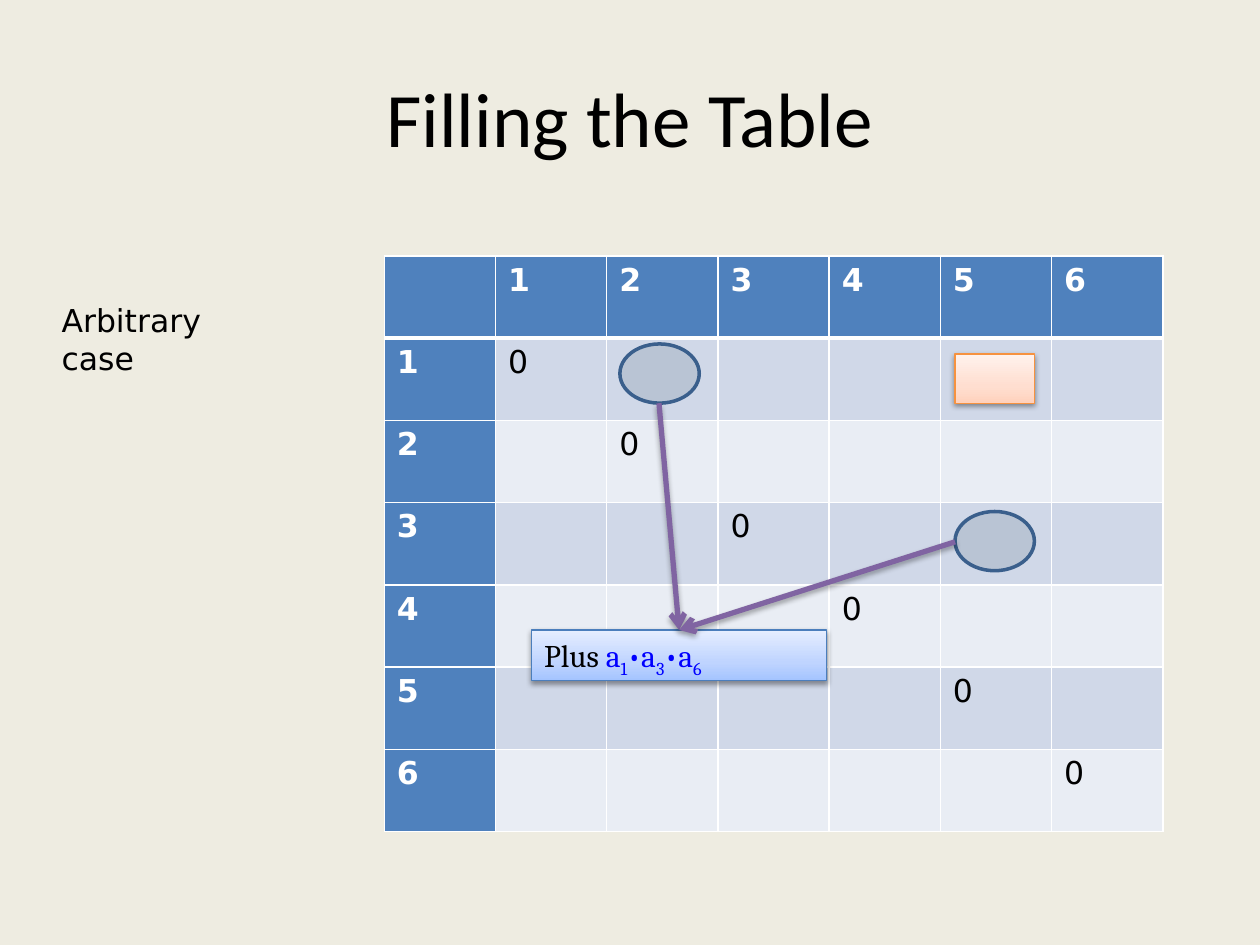
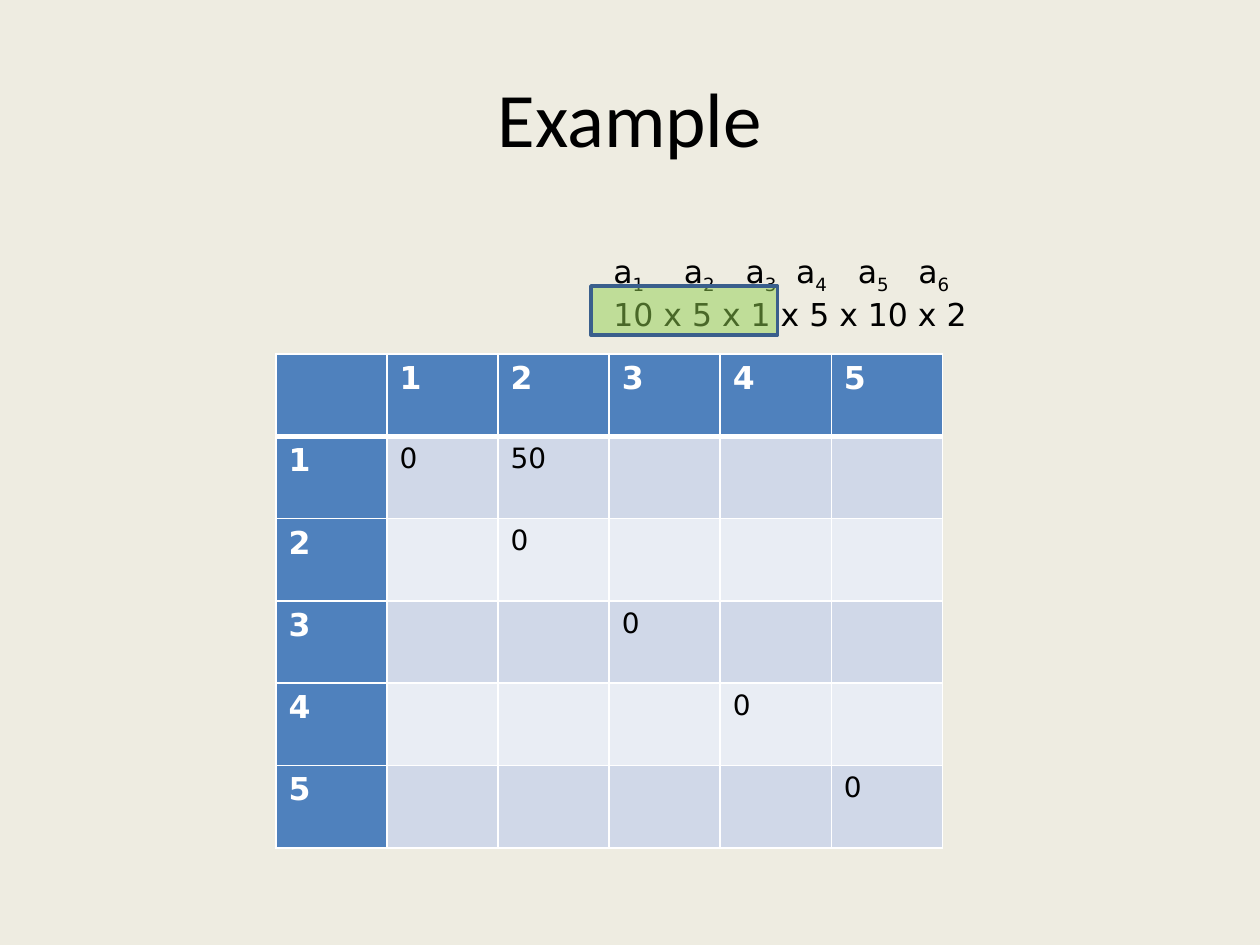
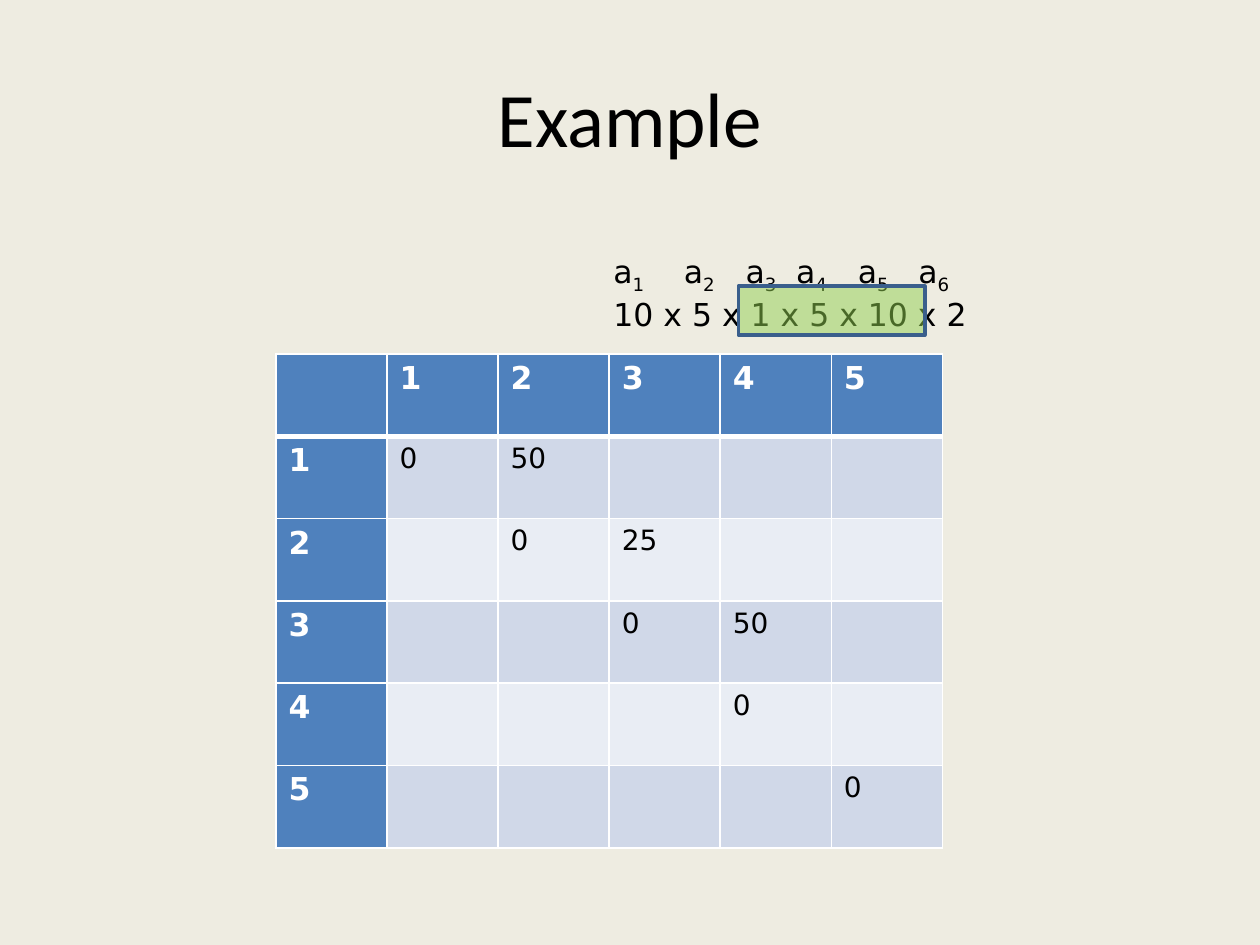
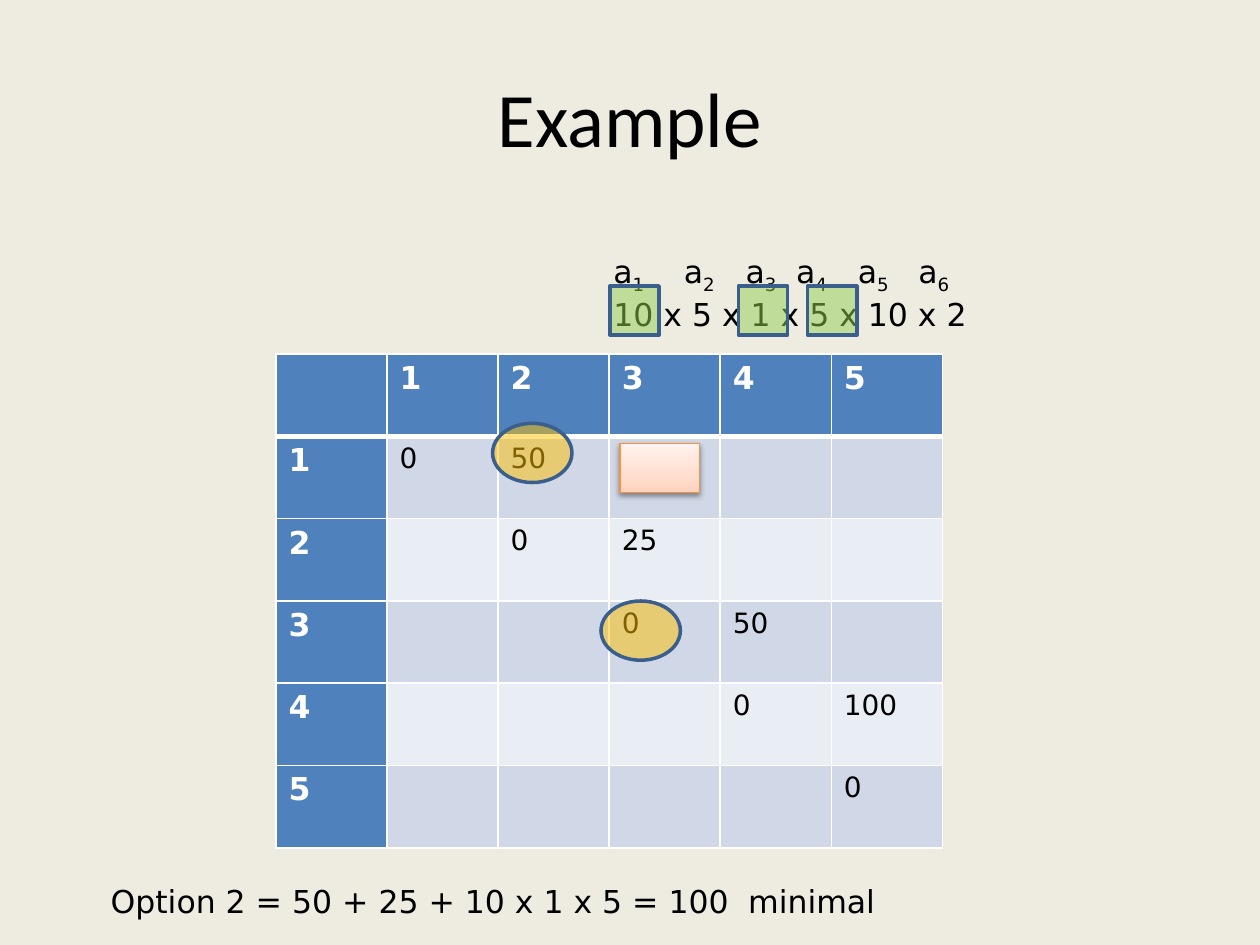
from pptx import Presentation
from pptx.dml.color import RGBColor
from pptx.enum.shapes import MSO_CONNECTOR, MSO_SHAPE
from pptx.enum.text import MSO_ANCHOR, MSO_AUTO_SIZE, PP_ALIGN
from pptx.oxml import parse_xml
from pptx.oxml.ns import nsdecls, qn
from pptx.util import Inches, Pt

BLACK = RGBColor(0x00, 0x00, 0x00)
WHITE = RGBColor(0xFF, 0xFF, 0xFF)
PAPER = RGBColor(0xEE, 0xEC, 0xE1)
HEADER_BLUE = RGBColor(0x4F, 0x81, 0xBD)
BAND_DARK = RGBColor(0xD0, 0xD8, 0xE8)
BAND_LIGHT = RGBColor(0xE9, 0xED, 0xF4)
OUTLINE = RGBColor(0x3A, 0x5F, 0x8C)
STEEL = RGBColor(0xA3, 0xB2, 0xC1)
GREEN = RGBColor(0x92, 0xD0, 0x50)
AMBER = RGBColor(0xFF, 0xC0, 0x00)
PURPLE = RGBColor(0x80, 0x64, 0xA2)
FORMULA_BLUE = RGBColor(0x00, 0x00, 0xFF)
ORANGE_LINE = RGBColor(0xF6, 0x92, 0x40)
BLUE_LINE = RGBColor(0x4B, 0x7E, 0xBC)
ORANGE_GLOW = [(0, RGBColor(0xFF, 0xD2, 0xBD)), (35, RGBColor(0xFF, 0xDE, 0xD0)),
               (100, RGBColor(0xFF, 0xF2, 0xED))]
BLUE_GLOW = [(0, RGBColor(0xA4, 0xC4, 0xFF)), (35, RGBColor(0xBF, 0xD4, 0xFF)),
             (100, RGBColor(0xE6, 0xEE, 0xFF))]

TITLE_FONT = "Calibri"
BODY_FONT = "DejaVu Sans"
FORMULA_FONT = "Cambria"

DIMENSION_TABS = (0.56, 1.05, 1.45, 1.94, 2.42)
FACTOR_TOP = 2.27
FACTOR_HEIGHT = 0.39


def box(left, top, width, height):
    return Inches(left), Inches(top), Inches(width), Inches(height)


def element(tag, **attributes):
    values = " ".join(f'{key}="{value}"' for key, value in attributes.items())
    return parse_xml(f"<a:{tag} {nsdecls('a')} {values}/>")


def color_element(color, alpha=None):
    node = element("srgbClr", val=color)
    if alpha is not None:
        node.append(element("alpha", val=alpha * 1000))
    return node


def drop_shadow(alpha, distance):
    shadow = element("outerShdw", blurRad=Pt(3.1), dist=Pt(distance), dir=5400000,
                     rotWithShape=0)
    shadow.append(color_element(BLACK, alpha))
    return shadow


class Deck:
    def __init__(self):
        self.presentation = Presentation()
        self.presentation.slide_width = Inches(10)
        self.presentation.slide_height = Inches(7.5)
        background = self.presentation.slide_master.background.fill
        background.solid()
        background.fore_color.rgb = PAPER
        self.slide = None

    def start(self, heading):
        self.slide = self.presentation.slides.add_slide(self.presentation.slide_layouts[5])
        title = self.slide.shapes.title
        title.left, title.top, title.width, title.height = box(0.5, 0.3, 9, 1.25)
        title.text_frame.text = heading
        title.text_frame.vertical_anchor = MSO_ANCHOR.MIDDLE
        paragraph = title.text_frame.paragraphs[0]
        paragraph.alignment = PP_ALIGN.CENTER
        self.style(paragraph.runs[0], 44, BLACK, TITLE_FONT)

    def style(self, run, size=18, color=BLACK, font=BODY_FONT, bold=False):
        run.font.size = Pt(size)
        run.font.name = font
        run.font.bold = bold
        run.font.color.rgb = color

    def subscripted(self, paragraph, text, **style):
        for index, piece in enumerate(text.split("_")):
            parts = [(piece, False)] if index == 0 else [(piece[0], True), (piece[1:], False)]
            for content, lowered in parts:
                if content:
                    run = paragraph.add_run()
                    run.text = content
                    self.style(run, **style)
                    if lowered:
                        run.font._element.set("baseline", "-25000")

    def text(self, lines, left, top, width, height, tabs=()):
        frame = self.slide.shapes.add_textbox(*box(left, top, width, height)).text_frame
        frame.word_wrap = True
        frame.auto_size = MSO_AUTO_SIZE.SHAPE_TO_FIT_TEXT
        for index, line in enumerate(lines):
            paragraph = frame.add_paragraph() if index else frame.paragraphs[0]
            if tabs and "\t" in line:
                stops = element("tabLst")
                for position in tabs:
                    stops.append(element("tab", pos=Inches(position), algn="l"))
                paragraph._p.get_or_add_pPr().append(stops)
            self.subscripted(paragraph, line)

    def cost_table(self, count, left, top, width, height, costs, size):
        table = self.slide.shapes.add_table(
            count + 1, count + 1, *box(left, top, width, height)).table
        table.first_col = True
        for row in range(count + 1):
            for column in range(count + 1):
                cell = table.cell(row, column)
                is_header = row == 0 or column == 0
                if is_header:
                    content = row or column or ""
                else:
                    content = 0 if row == column else costs.get((row, column), "")
                cell.text = str(content)
                for run in cell.text_frame.paragraphs[0].runs:
                    if is_header:
                        self.style(run, color=WHITE, bold=True)
                    else:
                        self.style(run, size)
                band = BAND_DARK if row % 2 else BAND_LIGHT
                self.borders(cell, row)
                cell.fill.solid()
                cell.fill.fore_color.rgb = HEADER_BLUE if is_header else band

    def borders(self, cell, row):
        properties = cell._tc.get_or_add_tcPr()
        thick_side = {0: "lnB", 1: "lnT"}.get(row)
        for side in ("lnL", "lnR", "lnT", "lnB"):
            edge = element(side, w=Pt(3 if side == thick_side else 1))
            paint = element("solidFill")
            paint.append(color_element(WHITE))
            edge.append(paint)
            properties.append(edge)

    def shape(self, kind, bounds, line_color, line_width):
        shape = self.slide.shapes.add_shape(kind, *box(*bounds))
        shape.shadow.inherit = False
        shape.line.color.rgb = line_color
        shape.line.width = Pt(line_width)
        return shape

    def marker(self, kind, color, left, top, width, height):
        marker = self.shape(kind, (left, top, width, height), OUTLINE, 2)
        marker.fill.solid()
        marker.fill.fore_color.rgb = color
        tint = marker._element.spPr.find(qn("a:solidFill")).find(qn("a:srgbClr"))
        tint.append(element("alpha", val=50000))

    def oval(self, color, left, top):
        self.marker(MSO_SHAPE.OVAL, color, left, top, 0.63, 0.47)

    def factor(self, left, width):
        self.marker(MSO_SHAPE.RECTANGLE, GREEN, left, FACTOR_TOP, width, FACTOR_HEIGHT)

    def glow_box(self, stops, line_color, left, top, width, height):
        glow = self.shape(MSO_SHAPE.RECTANGLE, (left, top, width, height), line_color, 0.75)
        glow.fill.gradient()
        glow.fill.gradient_angle = 90
        properties = glow._element.spPr
        gradient = properties.find(qn("a:gradFill")).find(qn("a:gsLst"))
        for stop in list(gradient):
            gradient.remove(stop)
        for position, color in stops:
            stop = element("gs", pos=position * 1000)
            stop.append(color_element(color))
            gradient.append(stop)
        properties.find(qn("a:effectLst")).append(drop_shadow(38, 1.6))
        return glow

    def target(self, left, top):
        self.glow_box(ORANGE_GLOW, ORANGE_LINE, left, top, 0.63, 0.39)

    def formula(self, label, expression, left, top, width, height):
        formula = self.glow_box(BLUE_GLOW, BLUE_LINE, left, top, width, height)
        frame = formula.text_frame
        frame.word_wrap = True
        frame.auto_size = MSO_AUTO_SIZE.SHAPE_TO_FIT_TEXT
        frame.vertical_anchor = MSO_ANCHOR.TOP
        paragraph = frame.paragraphs[0]
        paragraph.alignment = PP_ALIGN.LEFT
        self.subscripted(paragraph, label, font=FORMULA_FONT)
        self.subscripted(paragraph, expression, font=FORMULA_FONT, color=FORMULA_BLUE)
        return formula

    def arrow(self, left, top, destination):
        arrow = self.slide.shapes.add_connector(
            MSO_CONNECTOR.STRAIGHT, Inches(left), Inches(top), destination.left, destination.top)
        arrow.end_connect(destination, 0)
        arrow.line.color.rgb = PURPLE
        arrow.line.width = Pt(3)
        properties = arrow._element.spPr
        properties.find(qn("a:ln")).append(element("tailEnd", type="arrow"))
        effects = element("effectLst")
        effects.append(drop_shadow(35, 1.8))
        properties.append(effects)

    def example(self, costs):
        self.start("Example")
        self.cost_table(5, 2.19, 2.81, 5.29, 3.92, costs, 16)
        self.text(["a_1\ta_2\ta_3\ta_4\ta_5\ta_6", "10 x 5 x 1 x 5 x 10 x 2"],
                  4.77, 1.95, 5, 0.71, DIMENSION_TABS)


def main():
    deck = Deck()

    deck.start("Filling the Table")
    deck.cost_table(6, 3.05, 2.03, 6.18, 4.57, {}, 18)
    deck.text(["Arbitrary case"], 0.39, 2.34, 1.88, 0.71)
    deck.target(7.58, 2.81)
    deck.oval(STEEL, 4.92, 2.73)
    deck.oval(STEEL, 7.58, 4.06)
    product = deck.formula("Plus ", "a_1•a_3•a_6", 4.22, 5, 2.34, 0.4)
    deck.arrow(5.23, 3.2, product)
    deck.arrow(7.58, 4.3, product)

    first_cost = {(1, 2): 50}
    three_costs = {**first_cost, (2, 3): 25, (3, 4): 50}
    all_pairs = {**three_costs, (4, 5): 100}

    for costs, factor_left in ((first_cost, 4.69), (three_costs, 5.86)):
        deck.example(costs)
        deck.factor(factor_left, 1.48)

    deck.example(all_pairs)
    for factor_left in (4.84, 5.86, 6.41):
        deck.factor(factor_left, 0.39)
    deck.oval(AMBER, 3.91, 3.36)
    deck.oval(AMBER, 4.77, 4.77)
    deck.target(4.92, 3.52)
    deck.text(["Option 2 = 50 + 25 + 10 x 1 x 5 = 100\tminimal"], 0.78, 6.95, 7.19, 0.4, (5.06,))

    deck.presentation.save("out.pptx")


if __name__ == "__main__":
    main()
